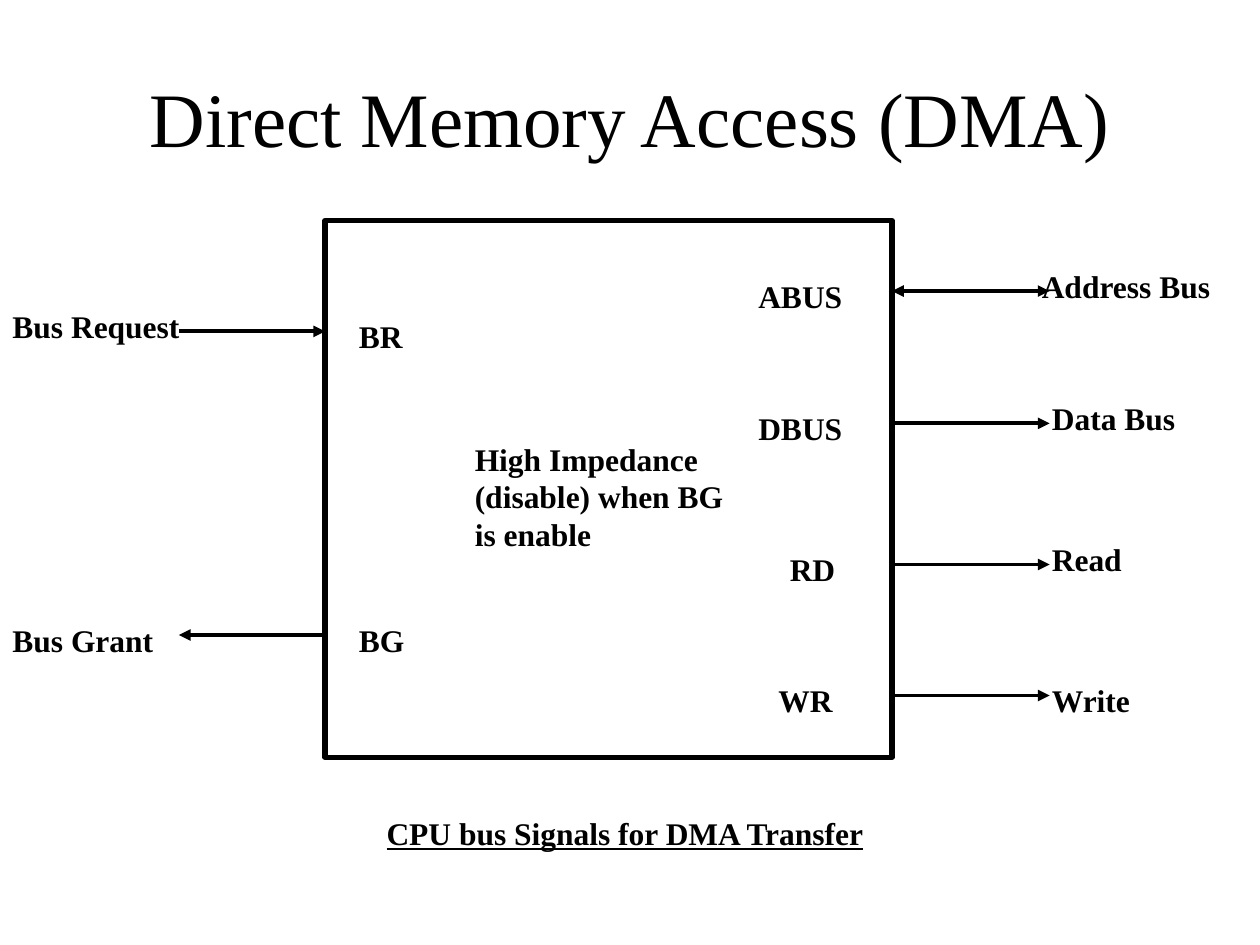
from lxml import etree
from pptx import Presentation
from pptx import util as u
from pptx.dml.color import RGBColor
from pptx.enum import shapes, text
from pptx.oxml.ns import qn

BLACK = RGBColor(0, 0, 0)
WHITE = RGBColor(255, 255, 255)
FONT = "Times New Roman"


class Board:
    def __init__(self, slide):
        self.slide = slide
        self.items = slide.shapes
        fill = slide.background.fill
        fill.solid()
        fill.fore_color.rgb = WHITE

    def frame(self, x, y, w, h):
        box = self.items.add_shape(
            shapes.MSO_SHAPE.RECTANGLE,
            u.Inches(x), u.Inches(y), u.Inches(w), u.Inches(h))
        box.shadow.inherit = False
        box.fill.background()
        box.line.color.rgb = BLACK
        box.line.width = u.Pt(3)

    def arrow(self, start, end, y, both=False):
        line = self.items.add_connector(
            shapes.MSO_CONNECTOR.STRAIGHT,
            u.Inches(start), u.Inches(y), u.Inches(end), u.Inches(y))
        line.line.color.rgb = BLACK
        line.line.width = u.Pt(2.25)
        props = line.line._get_or_add_ln()
        for tag in ("a:headEnd", "a:tailEnd") if both else ("a:tailEnd",):
            etree.SubElement(props, qn(tag), type="triangle")
        etree.SubElement(line._element.spPr, qn("a:effectLst"))

    def label(self, words, x, y, w, h=0.4, size=18, bold=True,
              center=False, under=False, middle=False):
        box = self.items.add_textbox(
            u.Inches(x), u.Inches(y), u.Inches(w), u.Inches(h))
        frame = box.text_frame
        frame.word_wrap = True
        if middle:
            frame.vertical_anchor = text.MSO_ANCHOR.MIDDLE
        para = frame.paragraphs[0]
        para.text = words
        para.alignment = text.PP_ALIGN.CENTER if center else text.PP_ALIGN.LEFT
        font = para.font
        font.name, font.size, font.bold = FONT, u.Pt(size), bold
        font.underline = under
        font.color.rgb = BLACK


deck = Presentation()
deck.slide_width, deck.slide_height = u.Inches(10), u.Inches(7.5)
board = Board(deck.slides.add_slide(deck.slide_layouts[6]))

LEFT, RIGHT = 2.58, 7.08
OUTER, FAR = 1.42, 8.33

board.label("Direct Memory Access (DMA)", 0.5, 0.3, 9, 1.25, size=44,
            bold=False, center=True, middle=True)
board.frame(LEFT, 1.75, RIGHT - LEFT, 4.26)

for pin, px, py, name, nx, ny, nw, line, both in (
    ("ABUS", 5.92, 2.15, "Address Bus", 8.17, 2.07, 1.83, 2.31, True),
    ("DBUS", 5.92, 3.2, "Data Bus", 8.25, 3.12, 1.33, 3.36, False),
    ("RD", 6.17, 4.32, "Read", 8.25, 4.24, 1.33, 4.48, False),
    ("WR", 6.08, 5.36, "Write", 8.25, 5.36, 1.33, 5.52, False),
):
    board.arrow(RIGHT, FAR, line, both)
    board.label(pin, px, py, 1)
    board.label(name, nx, ny, nw)

for pin, py, name, ny, start, end, line in (
    ("BR", 2.47, "Bus Request", 2.39, OUTER, LEFT, 2.63),
    ("BG", 4.88, "Bus Grant", 4.88, LEFT, OUTER, 5.04),
):
    board.arrow(start, end, line)
    board.label(pin, 2.75, py, 0.83)
    board.label(name, 0, ny, 1.58)

board.label("High Impedance (disable) when BG is enable", 3.67, 3.44, 2.33, 1)
board.label("CPU bus Signals for DMA Transfer", 1.25, 6.41, 7.42,
            center=True, under=True)

deck.save("out.pptx")
